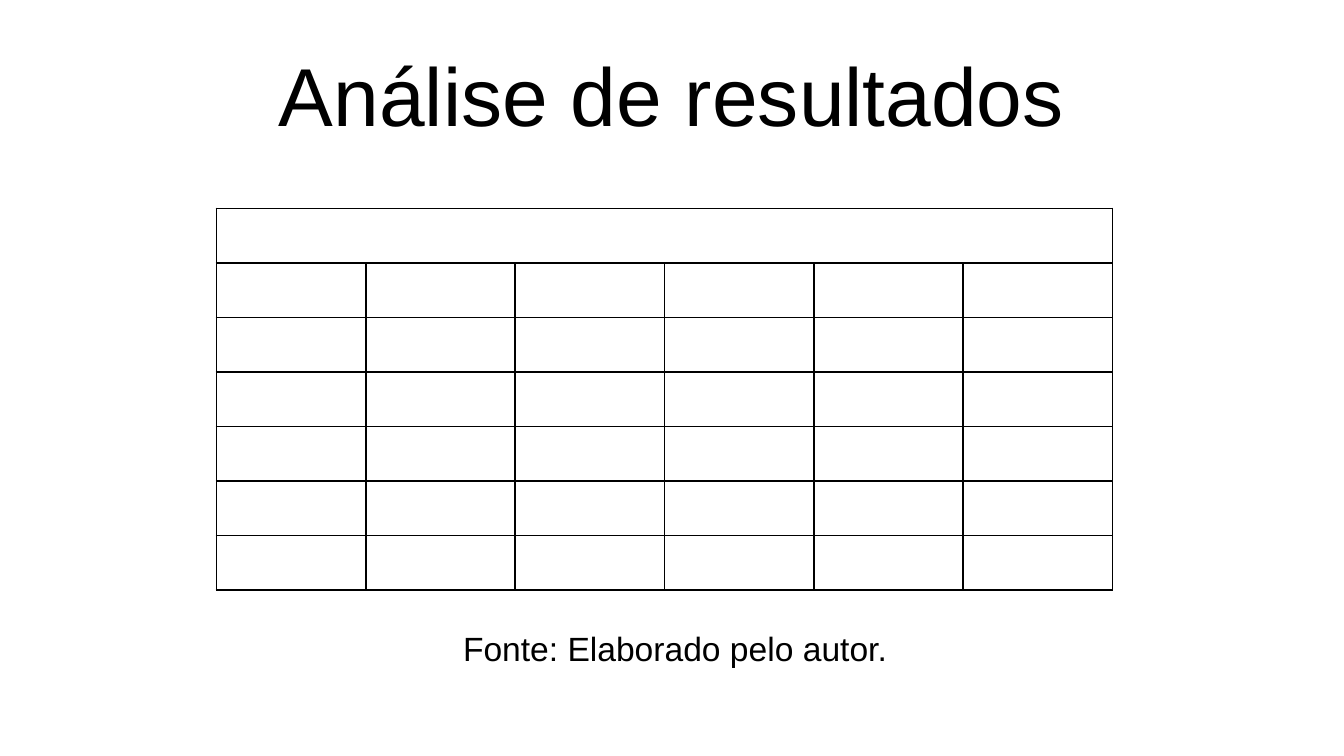
from pptx import Presentation
from pptx import util as u
from pptx.dml.color import RGBColor
from pptx.enum import text
from pptx.oxml import parse_xml
from pptx.oxml.ns import nsdecls

BLACK = "000000"
WHITE = "FFFFFF"
ROWS, COLUMNS = 7, 6


def color(value):
    return RGBColor.from_string(value)


def apply_format(target, values):
    for name, value in values.items():
        setattr(target, name, value)


def add_text(slide, content, box, size, frame_format, alignment):
    shape = slide.shapes.add_textbox(*map(u.Pt, box))
    apply_format(shape.text_frame, {"word_wrap": True, **frame_format})
    paragraph = shape.text_frame.paragraphs[0]
    paragraph.alignment = alignment
    run = paragraph.add_run()
    run.text = content
    apply_format(run.font, {"name": "Arial", "size": u.Pt(size)})
    run.font.color.rgb = color(BLACK)


def add_borders(cell, value, width):
    properties = cell._tc.get_or_add_tcPr()
    for position, side in enumerate(("lnL", "lnR", "lnT", "lnB")):
        border = parse_xml(
            f'<a:{side} {nsdecls("a")} w="{u.Pt(width)}"><a:solidFill>'
            f'<a:srgbClr val="{value}"/></a:solidFill></a:{side}>'
        )
        properties.insert(position, border)


def add_results_table(slide, left, top, column_width, row_height):
    box = (left, top, COLUMNS * column_width, ROWS * row_height)
    frame = slide.shapes.add_table(ROWS, COLUMNS, *map(u.Pt, box))
    table = frame.table
    apply_format(table, {"first_row": False, "horz_banding": False})
    for column in table.columns:
        column.width = u.Pt(column_width)
    for row in table.rows:
        row.height = u.Pt(row_height)
    for cell in table.iter_cells():
        cell.fill.solid()
        cell.fill.fore_color.rgb = color(WHITE)
        add_borders(cell, BLACK, 1)
    table.cell(0, 0).merge(table.cell(0, COLUMNS - 1))


def main():
    presentation = Presentation()
    apply_format(presentation, {"slide_width": u.Pt(720), "slide_height": u.Pt(405)})
    slide = presentation.slides.add_slide(presentation.slide_layouts[6])
    slide.background.fill.solid()
    slide.background.fill.fore_color.rgb = color(WHITE)

    add_results_table(slide, 116, 111.6, 80, 29.2)
    add_text(slide, "Fonte: Elaborado pelo autor.", (241, 332.8, 307.4, 29), 18,
             {"auto_size": text.MSO_AUTO_SIZE.SHAPE_TO_FIT_TEXT}, text.PP_ALIGN.LEFT)
    add_text(slide, "Análise de resultados", (36, 16.4, 648, 67.6), 44,
             {"vertical_anchor": text.MSO_ANCHOR.MIDDLE}, text.PP_ALIGN.CENTER)
    presentation.save("out.pptx")


if __name__ == "__main__":
    main()
